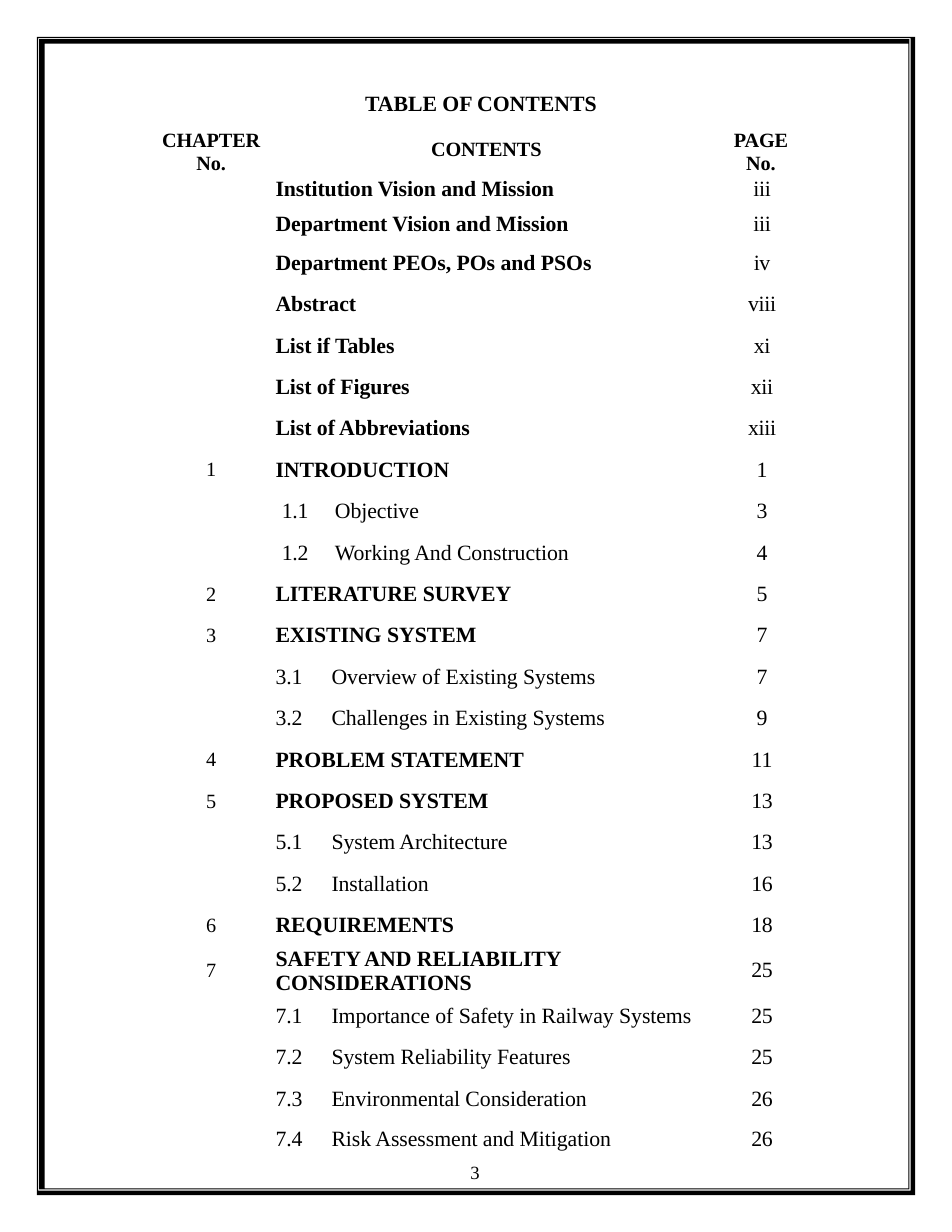
from lxml.etree import SubElement
from pptx import Presentation
from pptx.dml.color import RGBColor
from pptx.enum.text import MSO_ANCHOR as Anchor, MSO_AUTO_SIZE as AutoSize, PP_ALIGN as Align
from pptx.oxml.ns import qn
from pptx.util import Inches, Pt

FONT = "Times New Roman"
BLACK = "000000"
COLUMN_WIDTHS = [0.99, 0.49, 3.49, 0.72]
HEADER_HEIGHT = 0.42
ROW_HEIGHT, TOP_INSET = 0.37, 0.06
TEXT_INDENT, PAGE_INDENT = 0.08, 0.17
SECTION_TABS = {"3": 0.61, "5": 0.66, "7": 0.56}

# chapter or section number, entry, page
ENTRIES = [
    ("", "Institution Vision and Mission", "iii"),
    ("", "Department Vision and Mission", "iii"),
    ("", "Department PEOs, POs and PSOs", "iv"),
    ("", "Abstract", "viii"),
    ("", "List if Tables", "xi"),
    ("", "List of Figures", "xii"),
    ("", "List of Abbreviations", "xiii"),
    ("1", "INTRODUCTION", "1"),
    ("1.1", "Objective", "3"),
    ("1.2", "Working And Construction", "4"),
    ("2", "LITERATURE SURVEY", "5"),
    ("3", "EXISTING SYSTEM", "7"),
    ("3.1", "Overview of Existing Systems", "7"),
    ("3.2", "Challenges in Existing Systems", "9"),
    ("4", "PROBLEM STATEMENT", "11"),
    ("5", "PROPOSED SYSTEM", "13"),
    ("5.1", "System Architecture", "13"),
    ("5.2", "Installation", "16"),
    ("6", "REQUIREMENTS", "18"),
    ("7", "SAFETY AND RELIABILITY CONSIDERATIONS", "25"),
    ("7.1", "Importance of Safety in Railway Systems", "25"),
    ("7.2", "System Reliability Features", "25"),
    ("7.3", "Environmental Consideration", "26"),
    ("7.4", "Risk Assessment and Mitigation", "26"),
]
# row height, inset above the entry, inset above the numbers
SPECIAL_ROWS = {
    1: (0.28, 0, 0),
    2: (0.33, 0.03, 0.03),
    3: (0.36, 0.05, 0.05),
    19: (0.33, 0.06, 0.06),
    20: (0.52, 0.03, 0.13),
    21: (0.33, 0.02, 0.02),
    24: (0.29, 0.05, 0.05),
}


def color(hex_value):
    return RGBColor.from_string(hex_value)


def write(para, text, size=14, bold=False, align=Align.LEFT, indent=0, line=None,
          before=0, tab=None, spacing=-0.05):
    para.alignment = align
    para.space_before = Pt(before)
    if line:
        para.line_spacing = Pt(line)
    properties = para._p.get_or_add_pPr()
    properties.set("marL", str(Inches(indent)))
    properties.set("indent", "0")
    if tab:
        tabs = SubElement(properties, qn("a:tabLst"))
        SubElement(tabs, qn("a:tab"), pos=str(Inches(tab)), algn="l")
    span = para.add_run()
    span.text = text
    span.font.name = FONT
    span.font.size = Pt(size)
    span.font.bold = bold
    span.font.color.rgb = color(BLACK)
    span._r.get_or_add_rPr().set("spc", str(round(spacing * 100)))


def format_frame(shape, top_inset=0):
    frame = shape.text_frame
    frame.margin_left = frame.margin_right = frame.margin_bottom = 0
    frame.margin_top = Inches(top_inset)
    frame.word_wrap = True
    frame.auto_size = AutoSize.SHAPE_TO_FIT_TEXT
    frame.vertical_anchor = Anchor.TOP
    return frame.paragraphs[0]


def add_title(slide):
    title = slide.shapes.title
    title.left, title.top, title.width, title.height = map(Inches, (3.25, 0.79, 2.12, 0.26))
    write(format_frame(title, 0.01), "TABLE OF CONTENTS", bold=True, indent=0.01, before=1)


def clear_cell(cell):
    """Remove fill and margins, and keep an empty cell from stretching its row."""
    cell.fill.background()
    cell.margin_left = cell.margin_right = cell.margin_top = cell.margin_bottom = 0
    cell.text_frame.paragraphs[0]._p.get_or_add_endParaRPr().set("sz", "1200")


def fill_cell(cell, text, top=0, **text_format):
    cell.margin_top = Inches(top)
    write(cell.text_frame.paragraphs[0], text, before=round(top * 72, 1), **text_format)


def fill_header(table):
    for column, words, indent in ((0, ("CHAPTER", "No."), -0.0), (3, ("PAGE", "No."), 0.15)):
        frame = table.cell(0, column).text_frame
        for para, word, line in zip((frame.paragraphs[0], frame.add_paragraph()), words, (13.8, 15.3)):
            write(para, word, size=13, bold=True, align=Align.CENTER, indent=abs(indent), line=line)
    fill_cell(table.cell(0, 2), "CONTENTS", top=0.08, size=13, bold=True, indent=0.98)


def fill_entry(table, row, number, entry, page):
    height, entry_top, number_top = SPECIAL_ROWS.get(row, (ROW_HEIGHT, TOP_INSET, TOP_INSET))
    table.rows[row].height = Inches(height)
    chapter = number.split(".")[0]
    is_section = "." in number
    if is_section and chapter not in SECTION_TABS:
        fill_cell(table.cell(row, 1), number, entry_top, align=Align.CENTER, indent=0.02, spacing=-0.2)
        fill_cell(table.cell(row, 2), entry, entry_top, indent=0.12)
    else:
        cell = table.cell(row, 1)
        cell.merge(table.cell(row, 2))
        if is_section:
            fill_cell(cell, f"{number}\t{entry}", entry_top, indent=TEXT_INDENT, tab=SECTION_TABS[chapter])
        else:
            fill_cell(cell, entry, entry_top, bold=True, indent=TEXT_INDENT)
            if number:
                fill_cell(table.cell(row, 0), number, number_top + 0.01, size=13, align=Align.CENTER)
    fill_cell(table.cell(row, 3), page, number_top, align=Align.CENTER, indent=PAGE_INDENT, spacing=-0.2)


def add_contents_table(slide):
    table = slide.shapes.add_table(len(ENTRIES) + 1, len(COLUMN_WIDTHS), Inches(1.39), Inches(1.16),
                                   Inches(sum(COLUMN_WIDTHS)), Inches(9.13)).table
    table.first_row = table.horz_banding = False
    for column, width in zip(table.columns, COLUMN_WIDTHS):
        column.width = Inches(width)
    for cell in table.iter_cells():
        clear_cell(cell)
    table.rows[0].height = Inches(HEADER_HEIGHT)
    fill_header(table)
    for row, entry in enumerate(ENTRIES, start=1):
        fill_entry(table, row, *entry)


def add_page_border(slide):
    """Draw two nested rings, each an outer rectangle with a rectangular hole."""
    rectangles = [(0.33, 0.33, 8.17, 10.67), (0.34, 0.34, 8.13, 10.63),
                  (0.35, 0.35, 8.12, 10.62), (0.4, 0.39, 8.11, 10.61)]
    builder = None
    for rectangle in rectangles:
        left, top, right, bottom = map(Inches, rectangle)
        if builder is None:
            builder = slide.shapes.build_freeform(left, top)
        else:
            builder.move_to(left, top)
        builder.add_line_segments([(right, top), (right, bottom), (left, bottom)], close=True)
    border = builder.convert_to_shape()
    border.shadow.inherit = False
    border.fill.solid()
    border.fill.fore_color.rgb = color(BLACK)
    border.line.fill.background()


def add_page_number(slide):
    box = slide.shapes.add_textbox(Inches(4.15), Inches(10.37), Inches(0.29), Inches(0.21))
    write(format_frame(box), "3", size=12, indent=0.05, line=14.1, spacing=-0.2)


def main():
    deck = Presentation()
    deck.slide_width, deck.slide_height = Inches(8.5), Inches(11)
    page = deck.slides.add_slide(deck.slide_layouts[5])
    add_title(page)
    add_contents_table(page)
    add_page_border(page)
    add_page_number(page)
    deck.save("out.pptx")


if __name__ == "__main__":
    main()
